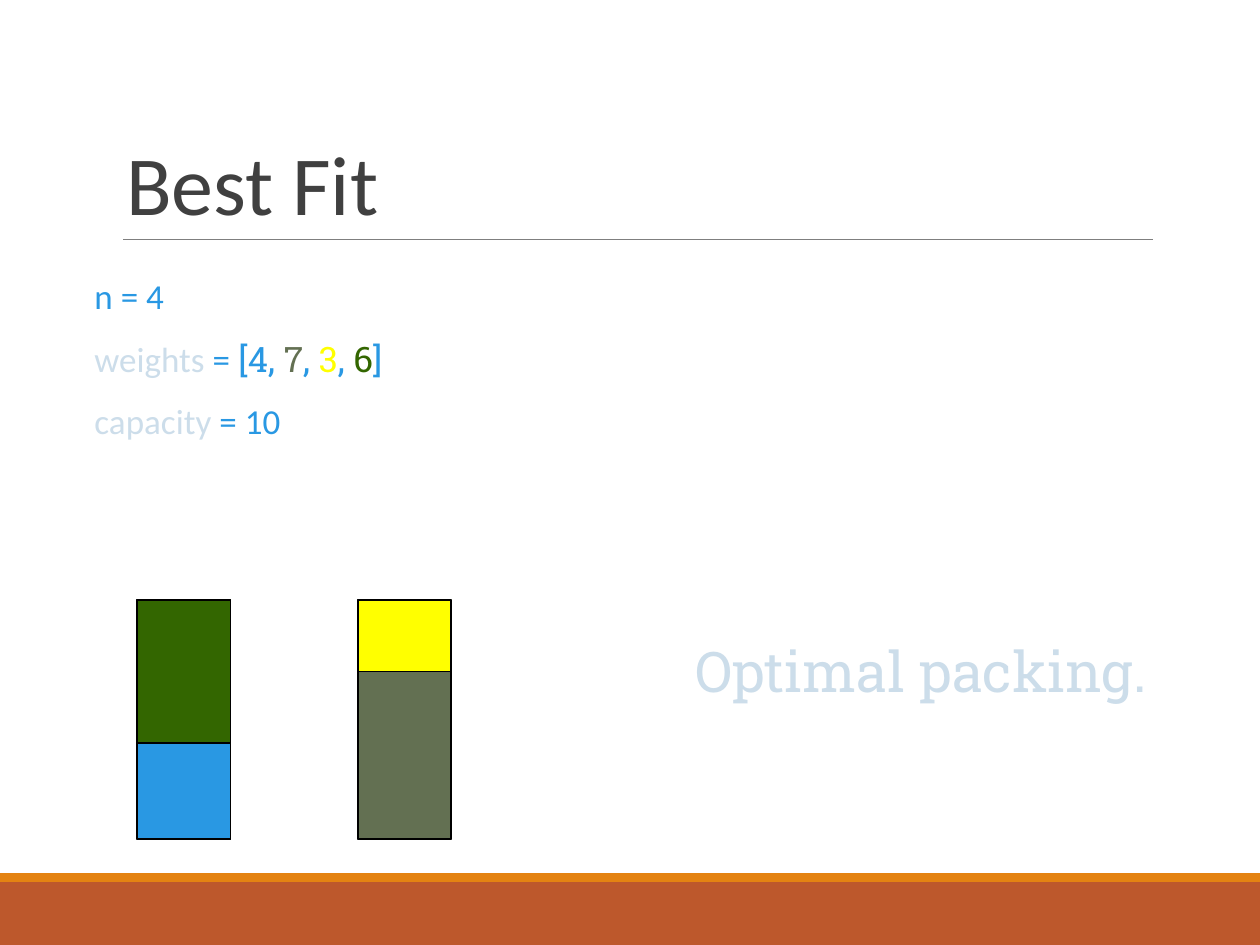
from lxml import etree
from pptx import Presentation
from pptx import util as u
from pptx.dml.color import RGBColor
from pptx.enum import shapes, text
from pptx.oxml import ns

RUST = RGBColor(0xBD, 0x58, 0x2C)
ORANGE = RGBColor(0xE4, 0x83, 0x12)
GREY = RGBColor(0x7F, 0x7F, 0x7F)
CHARCOAL = RGBColor(0x40, 0x40, 0x40)
BLACK = RGBColor(0, 0, 0)
PALE = RGBColor(0xCC, 0xDD, 0xEA)
BLUE = RGBColor(0x29, 0x98, 0xE3)
OLIVE = RGBColor(0x63, 0x70, 0x52)
YELLOW = RGBColor(0xFF, 0xFF, 0x00)
GREEN = RGBColor(0x33, 0x66, 0x00)

BODY, SLAB = "Calibri", "Roboto Slab"
CAPACITY = 10
UNIT = 0.19  # inches of bin height per unit of weight
BIN_WIDTH, BIN_TOP = 0.74, 4.76


def add_run(paragraph, words, font=BODY, size=20, color=BLUE):
    run = paragraph.add_run()
    run.text = words
    run.font.name = font
    run.font.size = u.Pt(size)
    run.font.color.rgb = color


class PackingSlide:
    def __init__(self, slide):
        self.slide = slide

    def title(self, words, *box):
        title = self.slide.shapes.title
        title.left, title.top, title.width, title.height = map(u.Inches, box)
        frame = title.text_frame
        frame.vertical_anchor = text.MSO_ANCHOR.BOTTOM
        frame.auto_size = text.MSO_AUTO_SIZE.NONE
        paragraph = frame.paragraphs[0]
        paragraph.alignment = text.PP_ALIGN.LEFT
        paragraph.line_spacing = 0.85
        add_run(paragraph, words, size=48, color=CHARCOAL)

    def rectangle(self, left, top, width, height, fill, outline=None):
        rect = self.slide.shapes.add_shape(
            shapes.MSO_SHAPE.RECTANGLE, *map(u.Inches, (left, top, width, height)))
        rect.shadow.inherit = False
        rect.fill.solid()
        rect.fill.fore_color.rgb = fill
        if outline is None:
            rect.line.fill.background()
        else:
            rect.line.color.rgb = outline
            rect.line.width = u.Pt(1)

    def rule(self, left, right, y):
        line = self.slide.shapes.add_connector(
            shapes.MSO_CONNECTOR.STRAIGHT, *map(u.Inches, (left, y, right, y)))
        line.line.color.rgb = GREY
        line.line.width = u.Pt(0.5)
        etree.SubElement(line._element.spPr, ns.qn("a:effectLst"))

    def text_box(self, box, lines, inset=0.1, spacing=1.0, before=0, after=0, hanging=0):
        """Each line is a list of (words, run format) pairs."""
        frame = self.slide.shapes.add_textbox(*map(u.Inches, box)).text_frame
        frame.word_wrap = True
        frame.margin_left = frame.margin_right = u.Inches(inset)
        for index, runs in enumerate(lines):
            paragraph = frame.add_paragraph() if index else frame.paragraphs[0]
            properties = paragraph._p.get_or_add_pPr()
            properties.set("marL", str(u.Inches(hanging)))
            properties.set("indent", str(-u.Inches(hanging)))
            paragraph.line_spacing = spacing
            paragraph.space_before = u.Pt(before if index else 0)
            paragraph.space_after = u.Pt(after)
            for words, style in runs:
                add_run(paragraph, words, **style)

    def bin(self, left, items):
        """Draw a bin and stack its (weight, colour) items from the bottom up."""
        self.rectangle(left, BIN_TOP, BIN_WIDTH, CAPACITY * UNIT, ORANGE, BLACK)
        top = BIN_TOP + CAPACITY * UNIT
        for weight, color in items:
            top -= weight * UNIT
            self.rectangle(left, top, BIN_WIDTH, weight * UNIT, color, BLACK)


def main():
    deck = Presentation()
    deck.slide_width, deck.slide_height = u.Inches(10), u.Inches(7.5)
    page = PackingSlide(deck.slides.add_slide(deck.slide_layouts[5]))

    page.rectangle(0, 7, 10, 0.5, RUST)
    page.rectangle(0, 6.93, 10, 0.07, ORANGE)
    page.rule(0.98, 9.15, 1.9)
    page.title("Best Fit", 0.9, 0.31, 8.25, 1.59)

    slab, label = {"font": SLAB}, {"color": PALE}
    weights = [
        ("weights ", label), ("= ", {}), ("[4, ", slab),
        ("7", {"font": SLAB, "color": OLIVE}), (", ", slab),
        ("3", {"font": SLAB, "color": YELLOW}), (", ", slab),
        ("6", {"font": SLAB, "color": GREEN}), ("]", slab),
    ]
    page.text_box(
        (0.75, 2.17, 8.5, 2.08),
        [[("n = 4", {})], weights, [("capacity ", label), ("= 10", {})]],
        inset=0, spacing=0.9, before=12, after=2, hanging=0.1)

    page.bin(1.09, [(4, BLUE), (6, GREEN)])
    page.bin(2.84, [(7, OLIVE), (3, YELLOW)])
    page.text_box((5.42, 5, 4.33, 0.63), [
        [("Optimal packing.", {"font": SLAB, "size": 32, "color": PALE})]])

    deck.save("out.pptx")


if __name__ == "__main__":
    main()
